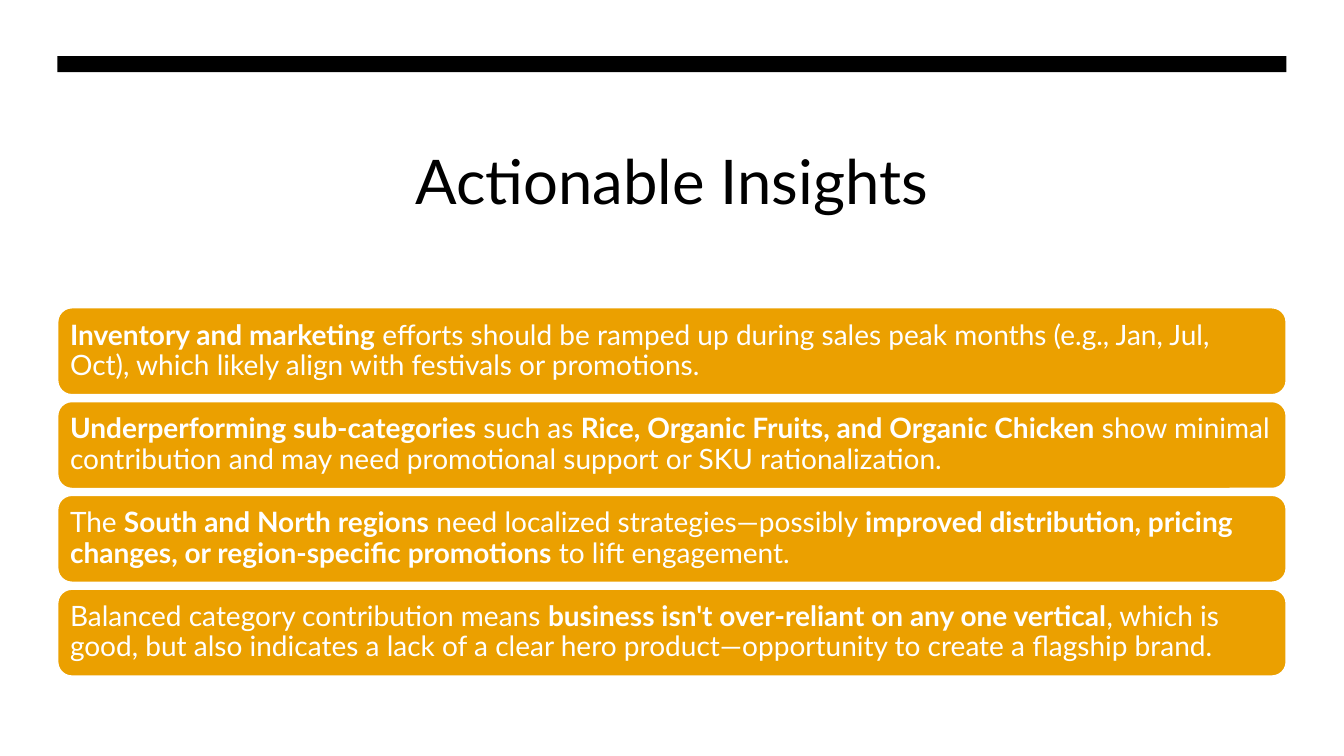
from pptx import Presentation
from pptx.dml.color import RGBColor
from pptx.enum.shapes import MSO_SHAPE
from pptx.enum.text import MSO_ANCHOR, PP_ALIGN
from pptx.util import Pt

RECTANGLE, ROUNDED = MSO_SHAPE.RECTANGLE, MSO_SHAPE.ROUNDED_RECTANGLE
TOP, MIDDLE = MSO_ANCHOR.TOP, MSO_ANCHOR.MIDDLE
LEFT, CENTER = PP_ALIGN.LEFT, PP_ALIGN.CENTER

COLORS = {"black": "000000", "white": "FFFFFF", "amber": "EBA000"}
FONT = "Lato"
MARGIN, CONTENT_WIDTH = 41, 878
INSIGHTS_TOP, INSIGHT_HEIGHT, INSIGHT_PITCH = 219.6, 62.6, 67

# Each insight is a list of (text, bold) runs.
INSIGHTS = [
    [("Inventory and marketing", True),
     (" efforts should be ramped up during sales peak months (e.g., Jan, Jul, Oct), "
      "which likely align with festivals or promotions.", False)],
    [("Underperforming sub-categories", True),
     (" such as ", False),
     ("Rice, Organic Fruits, and Organic Chicken", True),
     (" show minimal contribution and may need promotional support "
      "or SKU rationalization.", False)],
    [("The ", False),
     ("South and North regions", True),
     (" need localized strategies—possibly ", False),
     ("improved distribution, pricing changes, or region-specific promotions", True),
     (" to lift engagement.", False)],
    [("Balanced category contribution means ", False),
     ("business isn't over-reliant on any one vertical", True),
     (", which is good, but also indicates a lack of a clear hero product—opportunity "
      "to create a flagship brand.", False)],
]


def write(shape, runs, size, color, align=LEFT, anchor=TOP, inset=(7.2, 3.6), spacing=1.0):
    """Fill a shape with one paragraph of (text, bold) runs."""
    frame = shape.text_frame
    frame.word_wrap = True
    frame.vertical_anchor = anchor
    frame.margin_left = frame.margin_right = Pt(inset[0])
    frame.margin_top = frame.margin_bottom = Pt(inset[1])
    paragraph = frame.paragraphs[0]
    paragraph.alignment = align
    paragraph.line_spacing = spacing
    for text, bold in runs:
        run = paragraph.add_run()
        run.text = text
        run.font.name = FONT
        run.font.size = Pt(size)
        run.font.bold = bold
        run.font.color.rgb = RGBColor.from_string(COLORS[color])


def add_block(kind, top, height, fill):
    """Add a filled shape across the full content width."""
    block = slide.shapes.add_shape(kind, Pt(MARGIN), Pt(top), Pt(CONTENT_WIDTH), Pt(height))
    block.shadow.inherit = False
    block.fill.solid()
    block.fill.fore_color.rgb = RGBColor.from_string(COLORS[fill])
    block.line.fill.background()
    return block


deck = Presentation()
deck.slide_width, deck.slide_height = Pt(960), Pt(540)
slide = deck.slides.add_slide(deck.slide_layouts[6])

add_block(RECTANGLE, 40.2, 11.4, "black")

title = slide.shapes.add_textbox(Pt(MARGIN), Pt(98.6), Pt(CONTENT_WIDTH), Pt(100))
write(title, [("Actionable Insights", False)], size=44, color="black", align=CENTER)

for row, runs in enumerate(INSIGHTS):
    insight = add_block(ROUNDED, INSIGHTS_TOP + row * INSIGHT_PITCH, INSIGHT_HEIGHT, "amber")
    insight.line.color.rgb = RGBColor.from_string(COLORS["white"])
    insight.line.width = Pt(1.5)
    write(insight, runs, size=20, color="white", anchor=MIDDLE, inset=(6, 6), spacing=0.9)

deck.save("out.pptx")
